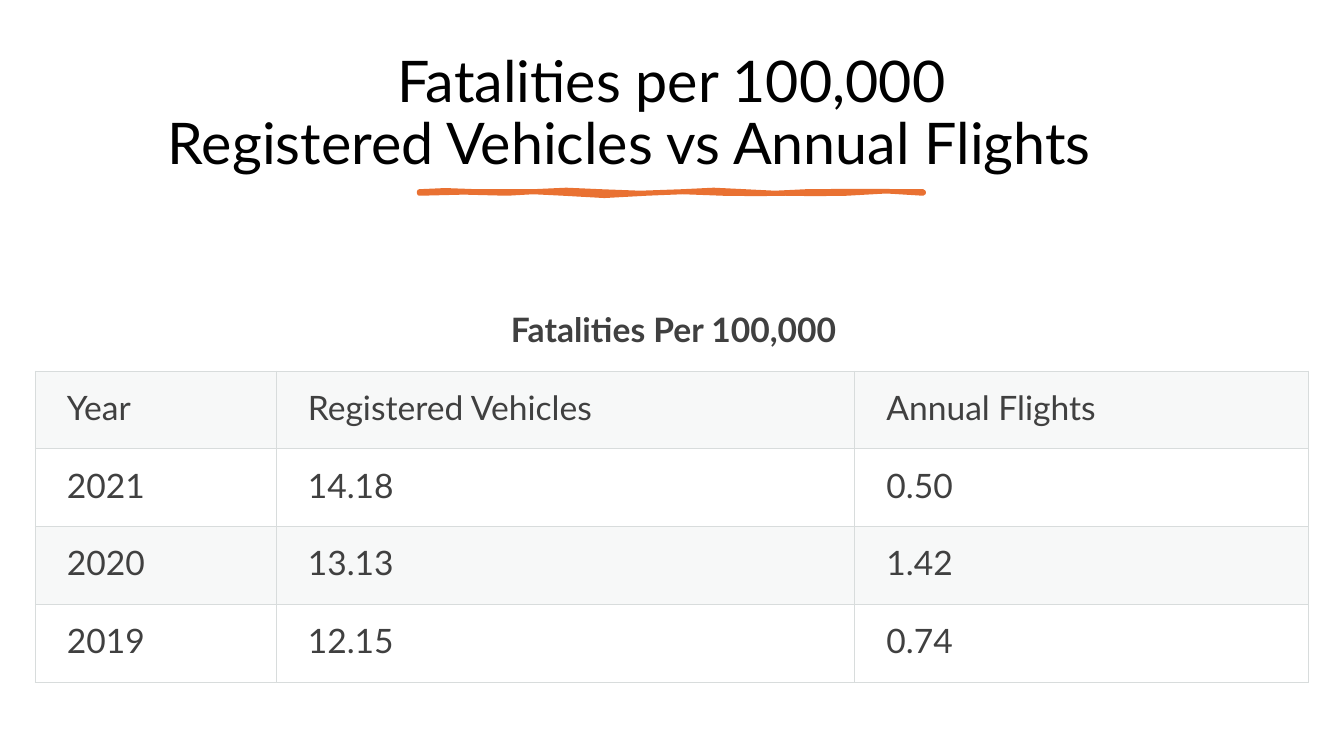
"""Build a slide comparing fatalities per 100,000 vehicles and flights."""
from lxml import etree
from pptx import Presentation
from pptx import util as u
from pptx.dml.color import RGBColor
from pptx.enum import text
from pptx.oxml import ns

BLACK = RGBColor(0x00, 0x00, 0x00)
GREY = RGBColor(0x40, 0x40, 0x40)
RULE = RGBColor(0xD8, 0xDC, 0xDC)
BAND = RGBColor(0xD8, 0xDE, 0xDC)
ORANGE = RGBColor(0xE9, 0x71, 0x32)
FONT = "Lato"
HUNDREDTH_INCH = 0.72
CURVE_STEPS = 2


def add_run(paragraph, words, size, color, bold=False):
    run = paragraph.add_run()
    run.text = words
    run.font.name = FONT
    run.font.size = u.Pt(size)
    run.font.color.rgb = color
    run.font.bold = bold


def add_border(cell, side):
    line = etree.SubElement(cell._tc.get_or_add_tcPr(), ns.qn(f"a:ln{side}"), w=str(u.Pt(0.75)))
    fill = etree.SubElement(line, ns.qn("a:solidFill"))
    etree.SubElement(fill, ns.qn("a:srgbClr"), val=str(RULE))


deck = Presentation()
deck.slide_width, deck.slide_height = u.Pt(960), u.Pt(540)
slide = deck.slides.add_slide(deck.slide_layouts[6])

heading = slide.shapes.add_textbox(u.Pt(50.4), u.Pt(33.1), u.Pt(859), u.Pt(98.6)).text_frame
heading.word_wrap = True
heading.vertical_anchor = text.MSO_ANCHOR.MIDDLE
heading_lines = heading.paragraphs[0]
heading_lines.alignment = text.PP_ALIGN.CENTER
heading_lines.line_spacing = 0.9
heading_lines._p.get_or_add_pPr().set("defTabSz", str(u.Pt(72)))
add_run(heading_lines, "Fatalities per 100,000", 41, BLACK)
heading_lines.add_line_break()
add_run(heading_lines, "Registered Vehicles vs Annual Flights\t", 41, BLACK)

stroke_edge = [
    (416, 190), (428, 187), (454, 190), (473, 190), (492, 189), (509, 191), (529, 190),
    (549, 188), (574, 188), (596, 190), (617, 192), (653, 192), (677, 190),
    (702, 188), (714, 188), (739, 190), (763, 191), (774, 193), (800, 190),
    (826, 187), (867, 192), (916, 190), (917, 191), (916, 191), (916, 192),
    (895, 190), (865, 188), (840, 192), (815, 195), (801, 190), (779, 192),
    (756, 193), (747, 192), (717, 192), (687, 192), (667, 188), (641, 192),
    (614, 195), (585, 195), (559, 192), (534, 188), (523, 192), (503, 192),
    (483, 191), (438, 190), (416, 192), (416, 191), (416, 190), (416, 190)]

points = []
for first in range(0, len(stroke_edge) - 1, 3):
    for step in range(CURVE_STEPS):
        t = step / CURVE_STEPS
        weights = ((1 - t) ** 3, 3 * t * (1 - t) ** 2, 3 * t * t * (1 - t), t ** 3)
        curve = stroke_edge[first:first + 4]
        points.append(tuple(
            u.Pt(HUNDREDTH_INCH * sum(w * point[axis] for w, point in zip(weights, curve)))
            for axis in (0, 1)))
builder = slide.shapes.build_freeform(*points[0])
builder.add_line_segments(points[1:], close=True)
underline = builder.convert_to_shape()
underline.shadow.inherit = False
underline.fill.solid()
underline.fill.fore_color.rgb = ORANGE
underline.line.color.rgb = ORANGE
underline.line.width = u.Pt(3.25)

rates = [
    ("Fatalities Per 100,000", "", ""),
    ("Year", "Registered Vehicles", "Annual Flights"),
    ("2021", "14.18", "0.50"),
    ("2020", "13.13", "1.42"),
    ("2019", "12.15", "0.74")]
column_widths = (172.1, 413.3, 324)
row_height = 55.58

rate_table = slide.shapes.add_table(
    len(rates), len(column_widths), u.Pt(25.2), u.Pt(209.5),
    u.Pt(sum(column_widths)), u.Pt(row_height * len(rates))).table
rate_table.first_row = rate_table.horz_banding = False
for column, width in zip(rate_table.columns, column_widths):
    column.width = u.Pt(width)
rate_table.cell(0, 0).merge(rate_table.cell(0, 2))

for row, values in enumerate(rates):
    rate_table.rows[row].height = u.Pt(row_height)
    for column, value in enumerate(values):
        cell = rate_table.cell(row, column)
        cell.margin_left, cell.margin_right = u.Pt(22.6), u.Pt(20.1)
        cell.margin_top = cell.margin_bottom = u.Pt(11.5)
        for side in "LRTB" if row else "B":
            add_border(cell, side)
        if row % 2:
            cell.fill.solid()
            cell.fill.fore_color.rgb = BAND
            tint = cell._tc.tcPr.find(ns.qn("a:solidFill")).find(ns.qn("a:srgbClr"))
            etree.SubElement(tint, ns.qn("a:alpha"), val="20000")
        else:
            cell.fill.background()
        if value:
            entry = cell.text_frame.paragraphs[0]
            entry.alignment = text.PP_ALIGN.LEFT if row else text.PP_ALIGN.CENTER
            add_run(entry, value, 24, GREY, bold=row == 0)

deck.save("out.pptx")
